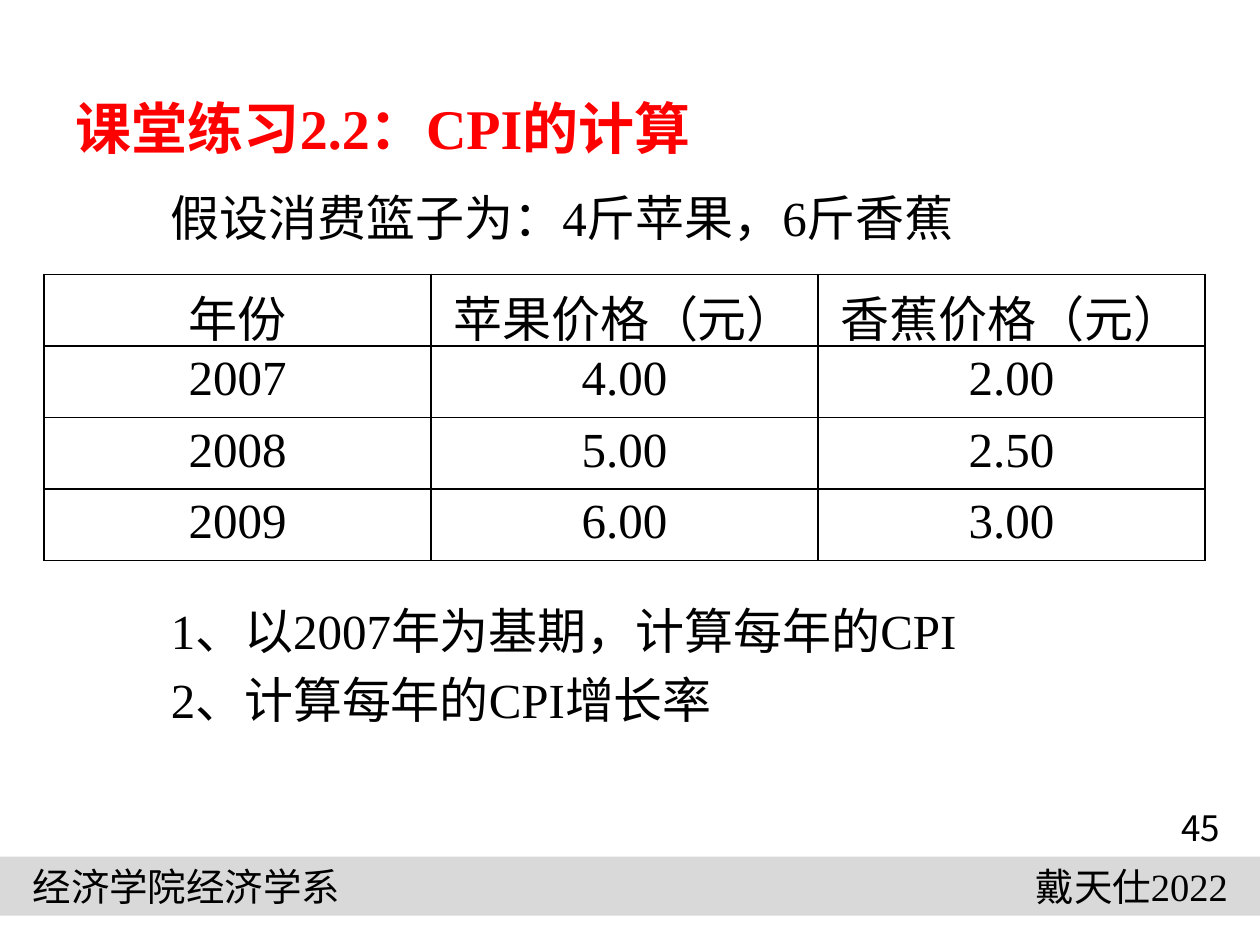
from dataclasses import dataclass
from typing import Any

import pptx
import pptx.dml.color
import pptx.enum.shapes
import pptx.enum.text
import pptx.oxml
import pptx.oxml.ns
import pptx.util
from pptx.util import Cm, Pt

ALIGN = pptx.enum.text.PP_ALIGN
ANCHOR = pptx.enum.text.MSO_ANCHOR
COLORS = {"text": "000000", "title": "FF0000", "bar": "D9D9D9", "border": "000000"}
SERIF, SANS = "Times New Roman", "Noto Sans CJK SC"
BODY_SIZE = 28
LINE_PITCH = 39.4
TABLE_GAP = 196.6  # points kept free in the body for the table

PRICES = [
    ["年份", "苹果价格（元）", "香蕉价格（元）"],
    ["2007", "4.00", "2.00"],
    ["2008", "5.00", "2.50"],
    ["2009", "6.00", "3.00"],
]
BODY_LINES = [
    ("假设消费篮子为：4斤苹果，6斤香蕉", 0),
    ("1、以2007年为基期，计算每年的CPI", TABLE_GAP),
    ("2、计算每年的CPI增长率", 0),
]


@dataclass
class Label:
    text: str
    left: float
    top: float
    width: float
    size: float
    font: str
    align: Any


LABELS = [
    Label("经济学院经济学系", 0.41, 17.27, 7.75, 22, SANS, ALIGN.LEFT),
    Label("戴天仕2022", 18.85, 17.27, 6.15, 22, SERIF, ALIGN.RIGHT),
    Label("45", 23.01, 16.08, 2.39, 20, SANS, ALIGN.CENTER),
]


def rgb(name: str) -> Any:
    return pptx.dml.color.RGBColor.from_string(COLORS[name])


def style(para: Any, size: float, font: str = SERIF, color: str = "text",
          align: Any = ALIGN.LEFT, bold: bool = False) -> None:
    para.alignment = align
    para.font.size = Pt(size)
    para.font.bold = bold
    para.font.color.rgb = rgb(color)
    para.font.name = font
    east_asian = pptx.oxml.parse_xml(
        f'<a:ea {pptx.oxml.ns.nsdecls("a")} typeface="{SANS}"/>')
    next(para._p.iter(pptx.oxml.ns.qn("a:latin"))).addnext(east_asian)


def place(shape: Any, left: float, top: float, width: float, height: float) -> None:
    shape.left, shape.top = Cm(left), Cm(top)
    shape.width, shape.height = Cm(width), Cm(height)


def fill_title(title: Any) -> None:
    place(title, 1.27, 1.57, 22.86, 1.98)
    title.text_frame.text = "课堂练习2.2：CPI的计算"
    title.text_frame.vertical_anchor = ANCHOR.MIDDLE
    style(title.text_frame.paragraphs[0], 32, color="title", bold=True)


def fill_body(body: Any) -> None:
    place(body, 1.19, 3.58, 22.86, 13.16)
    frame = body.text_frame
    frame.auto_size = pptx.enum.text.MSO_AUTO_SIZE.NONE
    frame.margin_top = 0
    frame.text = "\n".join(text for text, _ in BODY_LINES)
    for para, (_, gap) in zip(frame.paragraphs, BODY_LINES):
        para.level = 1
        para.line_spacing = Pt(LINE_PITCH)
        para.space_before = Pt(gap)
        style(para, BODY_SIZE)
        properties = para._p.get_or_add_pPr()
        properties.set("marL", str(Cm(0.5)))
        properties.set("indent", str(Cm(1.5)))
        no_bullet = pptx.oxml.parse_xml(f'<a:buNone {pptx.oxml.ns.nsdecls("a")}/>')
        properties.find(pptx.oxml.ns.qn("a:defRPr")).addprevious(no_bullet)


def add_label(page: Any, label: Label) -> None:
    box = page.shapes.add_textbox(
        Cm(label.left), Cm(label.top), Cm(label.width), Cm(1.19))
    frame = box.text_frame
    frame.word_wrap = True
    frame.vertical_anchor = ANCHOR.MIDDLE
    frame.text = label.text
    style(frame.paragraphs[0], label.size, label.font, align=label.align)


def add_bar(page: Any) -> None:
    bar = page.shapes.add_shape(pptx.enum.shapes.MSO_SHAPE.RECTANGLE,
                                0, Cm(17.27), Cm(25.4), Cm(1.19))
    bar.shadow.inherit = False
    bar.fill.solid()
    bar.fill.fore_color.rgb = rgb("bar")
    bar.line.fill.background()


def add_borders(cell: Any) -> None:
    properties = cell._tc.get_or_add_tcPr()
    for position, side in enumerate(("lnL", "lnR", "lnT", "lnB")):
        properties.insert(position, pptx.oxml.parse_xml(
            f'<a:{side} {pptx.oxml.ns.nsdecls("a")} w="{Pt(1)}"><a:solidFill>'
            f'<a:srgbClr val="{COLORS["border"]}"/></a:solidFill></a:{side}>'))


def add_price_table(page: Any) -> None:
    table = page.shapes.add_table(len(PRICES), len(PRICES[0]), Cm(0.89), Cm(5.53),
                                  Cm(23.4), Cm(5.6)).table
    table.first_row = table.horz_banding = False
    for row, values in enumerate(PRICES):
        for column, value in enumerate(values):
            cell = table.cell(row, column)
            cell.text = value
            cell.fill.background()
            style(cell.text_frame.paragraphs[0], BODY_SIZE, align=ALIGN.CENTER)
            add_borders(cell)


def main() -> None:
    deck = pptx.Presentation()
    deck.slide_width, deck.slide_height = Cm(25.4), Cm(19.05)
    page = deck.slides.add_slide(deck.slide_layouts[1])
    fill_title(page.shapes.title)
    fill_body(page.placeholders[1])
    add_bar(page)
    for label in LABELS:
        add_label(page, label)
    add_price_table(page)
    deck.save("out.pptx")


if __name__ == "__main__":
    main()
